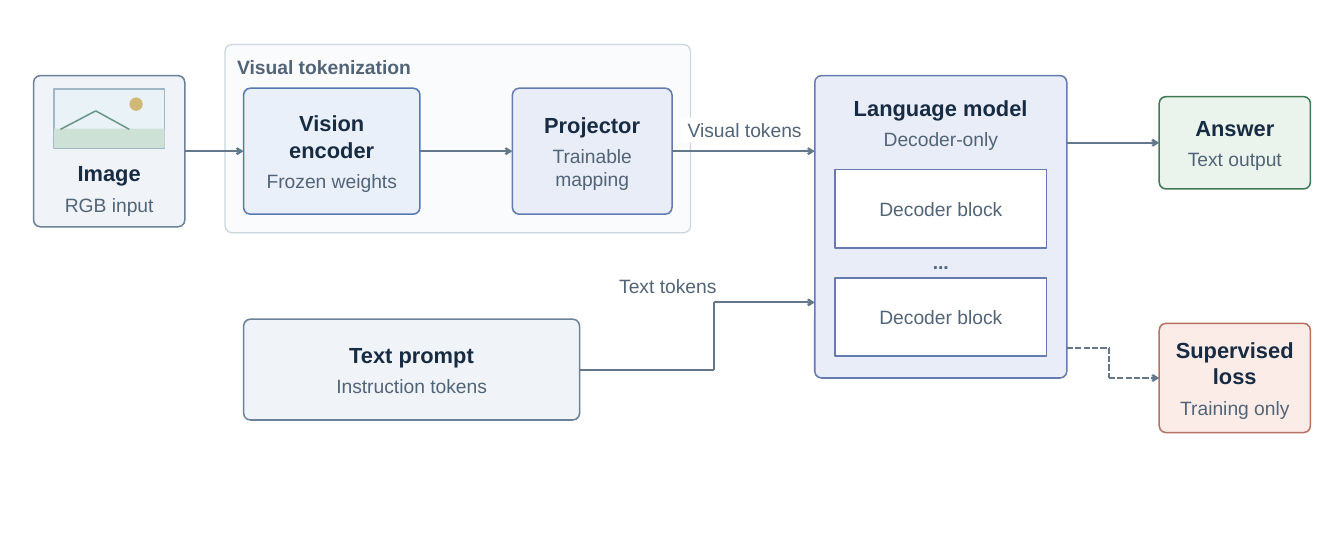
from dataclasses import dataclass

import pptx
import pptx.dml.color
import pptx.enum.dml
import pptx.enum.shapes
import pptx.enum.text
import pptx.oxml
import pptx.oxml.ns
import pptx.util

COLUMNS, ROWS = 160, 65
CELL = pptx.util.Pt(7.5)
CORNER = 0.8
TITLE_SIZE, BODY_SIZE, LINE_SPACING = 19.5, 17.2, 1.2
INK, MUTED, WIRE, WHITE = "172B42", "526477", "65788B", "FFFFFF"
LEFT_SIDE, RIGHT_SIDE = 1, 3

FORM = pptx.enum.shapes.MSO_SHAPE
ALIGN = pptx.enum.text.PP_ALIGN
ANCHOR = pptx.enum.text.MSO_ANCHOR


@dataclass
class Line:
    """A paragraph; each newline is a line break."""
    text: str
    size: float = BODY_SIZE
    color: str = MUTED
    bold: bool = False
    before: float = 0


@dataclass
class Box:
    """Place and size in grid cells; top_inset anchors the text to the top."""
    left: float
    top: float
    width: float
    height: float
    fill: str | None = None
    outline: str | None = None
    lines: tuple[Line, ...] = ()
    form: int = FORM.ROUNDED_RECTANGLE
    top_inset: float | None = None
    left_inset: float = 0
    align: int = ALIGN.CENTER
    outline_width: float = 1.35


@dataclass
class Route:
    """A chain of straight segments, joined to named boxes at its ends."""
    points: tuple[tuple[float, float], ...]
    start: str | None = None
    finish: str | None = None
    dashed: bool = False
    arrow: bool = True
    color: str = WIRE
    width: float = 1.88


def heading(title: str, body: str) -> tuple[Line, Line]:
    return (Line(title, TITLE_SIZE, INK, True), Line(body, before=6))


def cells(count: float) -> int:
    return round(count * CELL)


def rgb(color: str) -> pptx.dml.color.RGBColor:
    return pptx.dml.color.RGBColor.from_string(color)


def write_lines(shape, box: Box) -> None:
    frame = shape.text_frame
    frame.word_wrap = True
    frame.margin_right = frame.margin_bottom = 0
    frame.margin_left = cells(box.left_inset)
    frame.margin_top = cells(box.top_inset or 0)
    frame.vertical_anchor = ANCHOR.MIDDLE if box.top_inset is None else ANCHOR.TOP
    for index, line in enumerate(box.lines):
        para = frame.add_paragraph() if index else frame.paragraphs[0]
        para.alignment = box.align
        para.line_spacing = pptx.util.Pt(line.size * LINE_SPACING)
        if index:
            para.space_before = pptx.util.Pt(line.before)
        for part, words in enumerate(line.text.split("\n")):
            if part:
                para.add_line_break()
            span = para.add_run()
            span.text = words
            span.font.name = "Arial"
            span.font.size = pptx.util.Pt(line.size)
            span.font.bold = line.bold
            span.font.color.rgb = rgb(line.color)


def draw_box(page, box: Box):
    place = [cells(n) for n in (box.left, box.top, box.width, box.height)]
    if box.fill is None:
        shape = page.shapes.add_textbox(*place)
    else:
        shape = page.shapes.add_shape(box.form, *place)
        shape.shadow.inherit = False
        shape.fill.solid()
        shape.fill.fore_color.rgb = rgb(box.fill)
        if box.outline:
            shape.line.color.rgb = rgb(box.outline)
            shape.line.width = pptx.util.Pt(box.outline_width)
        else:
            shape.line.fill.background()
        if box.form == FORM.ROUNDED_RECTANGLE:
            shape.adjustments[0] = CORNER / min(box.width, box.height)
    if box.lines:
        write_lines(shape, box)
    return shape


def draw_route(page, route: Route, shapes: dict) -> None:
    last = len(route.points) - 2
    for index, (begin, end) in enumerate(zip(route.points, route.points[1:])):
        wire = page.shapes.add_connector(
            pptx.enum.shapes.MSO_CONNECTOR.STRAIGHT, *(cells(n) for n in begin + end))
        if index == 0 and route.start:
            wire.begin_connect(shapes[route.start], RIGHT_SIDE)
        if index == last and route.finish:
            wire.end_connect(shapes[route.finish], LEFT_SIDE)
        wire.line.color.rgb = rgb(route.color)
        wire.line.width = pptx.util.Pt(route.width)
        if route.dashed:
            wire.line.dash_style = pptx.enum.dml.MSO_LINE.SQUARE_DOT
        if index == last and route.arrow:
            head = pptx.oxml.parse_xml(
                f'<a:tailEnd {pptx.oxml.ns.nsdecls("a")} type="arrow"/>')
            wire.line._get_or_add_ln().append(head)
        wire._element.spPr.append(
            pptx.oxml.parse_xml(f'<a:effectLst {pptx.oxml.ns.nsdecls("a")}/>'))


TOKENIZATION = Box(26.8, 5.3, 55.4, 22.4, "FAFBFD", "CCD6DF",
                   (Line("Visual tokenization", bold=True),),
                   top_inset=1.1, left_inset=1.2, align=ALIGN.LEFT, outline_width=1.13)

STAGES = {
    "image": Box(4, 9, 18, 18, "F0F4F8", "6B8299",
                 heading("Image", "RGB input"), top_inset=9.8),
    "encoder": Box(29, 10.5, 21, 15, "EAF0FA", "5579B0",
                   heading("Vision\nencoder", "Frozen weights")),
    "projector": Box(61, 10.5, 19, 15, "E9EDF8", "657BB0",
                     heading("Projector", "Trainable\nmapping")),
    "prompt": Box(29, 38, 40, 12, "F0F4F8", "6B8299",
                  heading("Text prompt", "Instruction tokens")),
    "model": Box(97, 9, 30, 36, "E9EDF8", "657BB0",
                 heading("Language model", "Decoder-only"), top_inset=2),
    "answer": Box(138, 11.5, 18, 11, "EAF4ED", "427855",
                  heading("Answer", "Text output")),
    "loss": Box(138, 38.5, 18, 13, "FBECE8", "B57362",
                heading("Supervised\nloss", "Training only")),
}

DETAILS = [
    Box(6.4, 10.6, 13.2, 7, "E9F2F7", "9FB6C7", form=FORM.RECTANGLE),
    Box(6.4, 15.3, 13.2, 2.3, "CEE1D6", form=FORM.RECTANGLE),
    Box(15.4, 11.6, 1.6, 1.6, "D1B877", form=FORM.OVAL),
    *(Box(99.4, top, 25.2, 9.3, WHITE, "657BB0", (Line("Decoder block"),),
          FORM.RECTANGLE) for top in (20.2, 33.1)),
    Box(99.4, 29.8, 25.2, 2.7, lines=(Line("...", bold=True),)),
    Box(81, 14, 15.3, 3, WHITE, lines=(Line("Visual tokens"),), form=FORM.RECTANGLE),
    Box(73, 32.5, 13, 3, WHITE, lines=(Line("Text tokens"),), form=FORM.RECTANGLE),
]

ROUTES = [
    Route(((22, 18), (29, 18)), "image", "encoder"),
    Route(((50, 18), (61, 18)), "encoder", "projector"),
    Route(((80, 18), (97, 18)), "projector"),
    Route(((69, 44), (85, 44), (85, 36), (97, 36)), "prompt"),
    Route(((127, 17), (138, 17)), finish="answer"),
    Route(((127, 41.4), (132, 41.4), (132, 45), (138, 45)), finish="loss", dashed=True),
    Route(((7.2, 15.4), (11.4, 13.2), (15.4, 15.4)),
          arrow=False, color="6A9789", width=1.35),
]


def main() -> None:
    deck = pptx.Presentation()
    deck.slide_width, deck.slide_height = cells(COLUMNS), cells(ROWS)
    page = deck.slides.add_slide(deck.slide_layouts[6])
    draw_box(page, TOKENIZATION)
    shapes = {name: draw_box(page, box) for name, box in STAGES.items()}
    for box in DETAILS:
        draw_box(page, box)
    for route in ROUTES:
        draw_route(page, route, shapes)
    deck.save("out.pptx")


if __name__ == "__main__":
    main()
